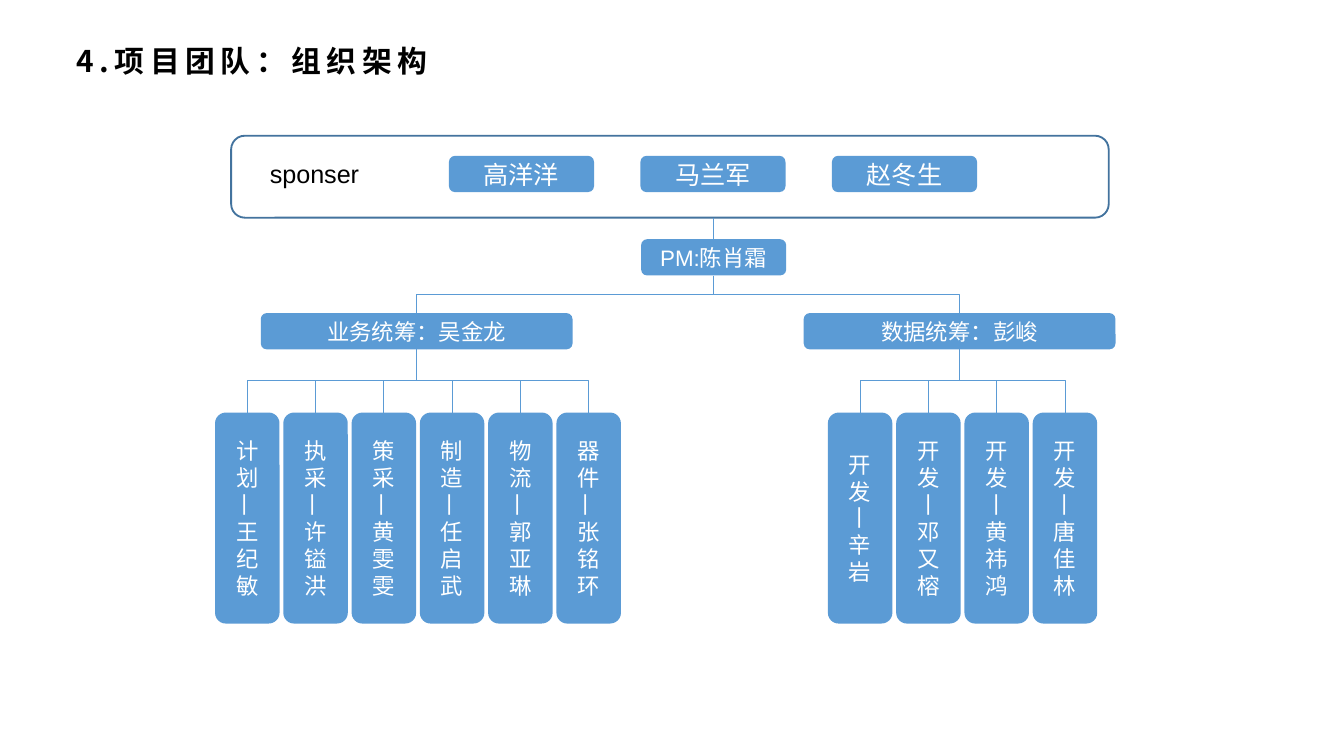
from dataclasses import dataclass

from lxml import etree
from pptx import Presentation
from pptx.dml.color import RGBColor
from pptx.enum.shapes import MSO_CONNECTOR, MSO_SHAPE
from pptx.enum.text import MSO_ANCHOR, PP_ALIGN
from pptx.oxml.ns import qn
from pptx.util import Inches, Pt

ROUND = MSO_SHAPE.ROUNDED_RECTANGLE
ELBOW = MSO_CONNECTOR.ELBOW
LINE = MSO_CONNECTOR.STRAIGHT
CENTER, LEFT = PP_ALIGN.CENTER, PP_ALIGN.LEFT
MIDDLE, TOP = MSO_ANCHOR.MIDDLE, MSO_ANCHOR.TOP


@dataclass(frozen=True)
class Theme:
    blue: RGBColor = RGBColor.from_string("5B9BD5")
    edge: RGBColor = RGBColor.from_string("43739E")
    white: RGBColor = RGBColor.from_string("FFFFFF")
    black: RGBColor = RGBColor.from_string("000000")
    latin: str = "Arial"
    asian: str = "Noto Sans CJK SC"
    title: float = 16
    large: float = 13.5
    body: float = 12
    wire: float = 0.5


THEME = Theme()


@dataclass(frozen=True)
class Card:
    text: str
    x: float
    y: float
    w: float
    h: float = 0.27
    size: float = THEME.body

    @property
    def mid(self) -> float:
        return self.x + self.w / 2

    @property
    def base(self) -> float:
        return self.y + self.h


@dataclass(frozen=True)
class Team:
    lead: Card
    start: float
    staff: tuple[str, ...]


FRAME = Card("", 1.72, 1.01, 6.53, 0.61)
BOSSES = ("高洋洋", "马兰军", "赵冬生")
BOSS_X, BOSS_STEP = 3.34, 2.85 / 2
PM = Card("PM:陈肖霜", 4.77, 1.78, 1.08)
STEP = 2.54 / 5
TEAMS = (
    Team(Card("业务统筹：吴金龙", 1.94, 2.33, 2.32), 1.6,
         ("计划\n丨 \n王纪敏", "执采丨 \n许镒洪", "策采丨 \n黄雯雯",
          "制造丨 \n任启武", "物流丨 \n郭亚琳", "器件丨 \n张铭环")),
    Team(Card("数据统筹：彭峻", 5.98, 2.33, 2.32), 6.16,
         ("开发丨辛岩", "开发丨邓又榕", "开发丨黄祎鸿", "开发丨\n唐佳林")),
)


def write(shape, text: str, *, size: float, color: RGBColor, font: str = THEME.latin,
          bold: bool = False, align=CENTER, anchor=MIDDLE, wrap: bool = True,
          before: float = 0, track: float = 0) -> None:
    """Fill a shape with formatted text, one paragraph per line."""
    frame = shape.text_frame
    frame.word_wrap = wrap
    frame.vertical_anchor = anchor
    for i, part in enumerate(text.split("\n")):
        para = frame.add_paragraph() if i else frame.paragraphs[0]
        para.alignment = align
        para.space_before = Pt(before)
        run = para.add_run()
        run.text = part
        run.font.name = font
        run.font.size = Pt(size)
        run.font.bold = bold
        run.font.color.rgb = color
        props = run.font._element
        if track:
            props.set("spc", str(int(track * 100)))
        asian = etree.Element(qn("a:ea"), typeface=THEME.asian)
        props.find(qn("a:latin")).addnext(asian)


def label(slide, card: Card, **style) -> None:
    """Place a left-aligned text box."""
    box = slide.shapes.add_textbox(*map(Inches, (card.x, card.y, card.w, card.h)))
    write(box, card.text, size=card.size, color=THEME.black, align=LEFT, **style)


def block(slide, card: Card) -> None:
    """Draw a rounded card, outlined when it has no text."""
    shape = slide.shapes.add_shape(ROUND, *map(Inches, (card.x, card.y, card.w, card.h)))
    shape.shadow.inherit = False
    if card.text:
        shape.fill.solid()
        shape.fill.fore_color.rgb = THEME.blue
        shape.line.fill.background()
        write(shape, card.text, size=card.size, color=THEME.white)
    else:
        shape.fill.background()
        shape.line.color.rgb = THEME.edge
        shape.line.width = Pt(1)


def link(slide, top: Card, low: Card, bent: bool = True) -> None:
    """Join the foot of one card to the head of another."""
    x, y, end, stop = top.mid, top.base, low.mid, low.y
    if bent:
        mid, half = (x + end) / 2, (stop - y) / 2
        rise, level = (end - x) / 2, (y + stop) / 2
        ends = (mid - half, level + rise, mid + half, level - rise)
    else:
        ends = (end, y, end, stop)
    wire = slide.shapes.add_connector(ELBOW if bent else LINE, *map(Inches, ends))
    wire.line.color.rgb = THEME.blue
    wire.line.width = Pt(THEME.wire)
    props = wire._element.spPr
    if bent:
        props.find(qn("a:xfrm")).set("rot", "5400000")
    etree.SubElement(props, qn("a:effectLst"))


def main() -> None:
    """Build the organisation chart slide."""
    deck = Presentation()
    deck.slide_width = Inches(10)
    deck.slide_height = Inches(10 * 9 / 16)
    slide = deck.slides.add_slide(deck.slide_layouts[6])
    block(slide, FRAME)
    label(slide, Card("4.项目团队：组织架构", 0.47, 0.16, 5.74, 0.58, THEME.title),
          font=THEME.asian, bold=True, before=7.5, track=3)
    label(slide, Card("sponser", 1.91, 1.13, 0.87, 0.33, THEME.large),
          anchor=TOP, wrap=False)
    for i, name in enumerate(BOSSES):
        block(slide, Card(name, BOSS_X + i * BOSS_STEP, 1.16, 1.08, size=THEME.large))
    block(slide, PM)
    link(slide, FRAME, PM, bent=False)
    for team in TEAMS:
        block(slide, team.lead)
        for i, name in enumerate(team.staff):
            card = Card(name, team.start + i * STEP, 3.07, 0.48, 1.57)
            block(slide, card)
            link(slide, team.lead, card)
        link(slide, PM, team.lead)
    deck.save("out.pptx")


if __name__ == "__main__":
    main()
